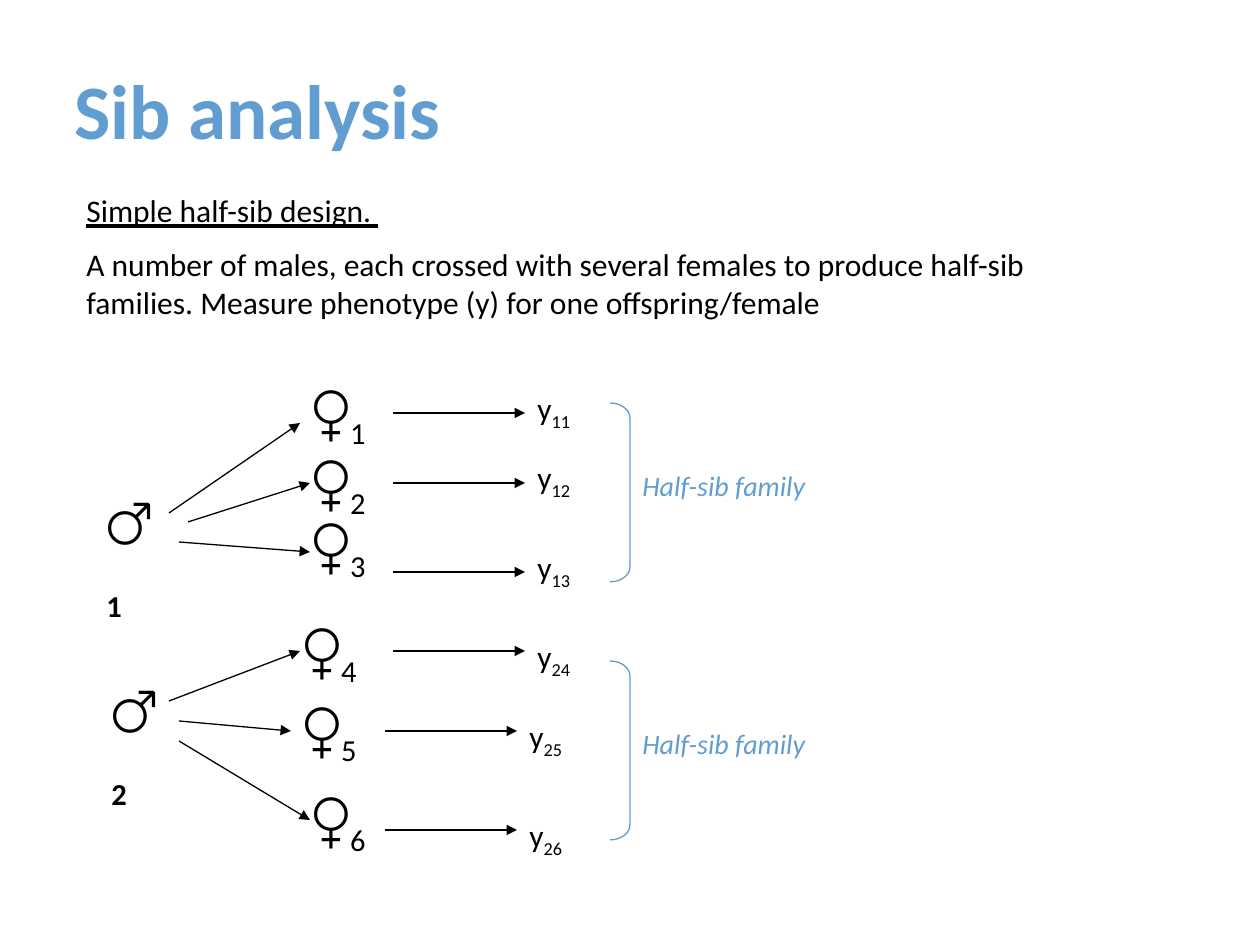
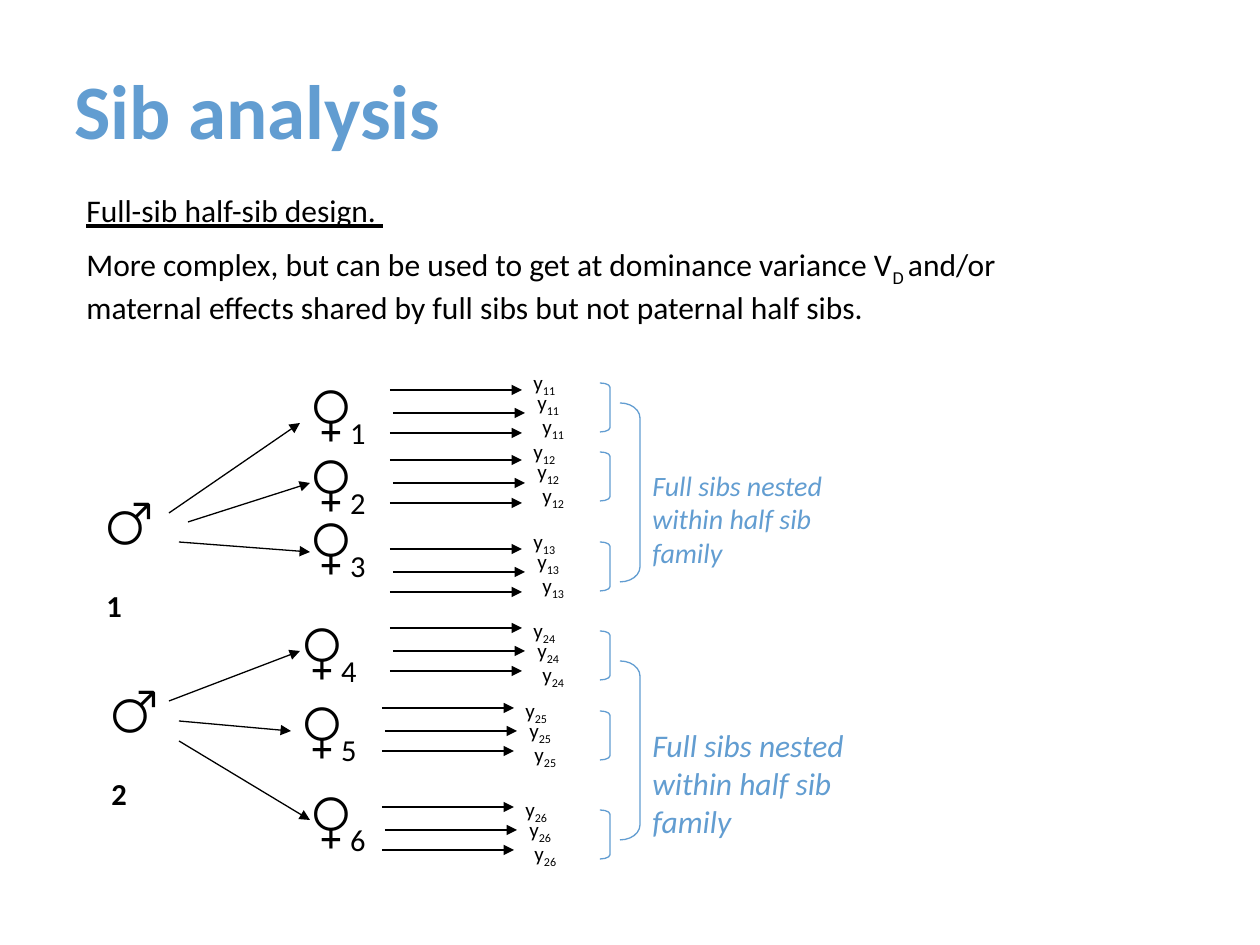
from lxml.etree import SubElement
from pptx import Presentation
from pptx.dml.color import RGBColor
from pptx.enum.shapes import MSO_CONNECTOR, MSO_SHAPE
from pptx.enum.text import MSO_ANCHOR
from pptx.oxml.ns import qn
from pptx.util import Emu, Pt

BLUE = RGBColor(0x62, 0x9D, 0xD1)
BLACK = RGBColor(0, 0, 0)
SCALE = 914400 / 126

TITLE = "Sib analysis"
TITLE_STYLE = {"size": Pt(44), "bold": True, "color": BLUE}
BODY_STYLE = {"size": Pt(18)}
SYMBOL_STYLE = {"size": Pt(30)}
HEADING = {"underline": True}
SUBSCRIPT = {"baseline": "-25000"}

SIRES = [("1", 94, 483), ("2", 99, 671)]
DAMS = [
    ("1", 300, 373), ("2", 300, 443), ("3", 300, 506),
    ("4", 291, 611), ("5", 291, 690), ("6", 300, 780),
]
CROSSES = [
    (169, 513, 300, 423), (188, 522, 310, 483), (179, 542, 310, 552),
    (169, 701, 300, 651), (179, 721, 291, 731), (179, 741, 310, 820),
]
OFFSPRING = [
    ("11", 0, 413, 383), ("12", 0, 483, 452), ("13", 0, 572, 542),
    ("24", 0, 651, 631), ("25", -8, 731, 711), ("26", -8, 830, 810),
]
FAMILY_TOPS = [403, 661]

DESIGNS = [
    {
        "body": [
            [("Simple half-sib design. ", HEADING)],
            [("A number of males, each crossed with several females to produce "
              "half-sib families. Measure phenotype (y) for one offspring/female", {})],
        ],
        "body_width": 1002,
        "sibs": [((0, 0), (0, 0))],
        "label_size": 18,
        "family_left": 610,
        "family": "Half-sib family",
        "family_sizes": [16, 16],
        "full_sib_brackets": False,
    },
    {
        "body": [
            [("Full-sib half-sib design. ", HEADING)],
            [("More complex, but can be used to get at dominance variance V", {}),
             ("D ", SUBSCRIPT),
             ("and/or maternal effects shared by full sibs but not paternal half sibs.", {})],
        ],
        "body_width": 1022,
        "sibs": [((-3, -23), (-4, -20)), ((0, 0), (0, 0)), ((-3, 20), (5, 24))],
        "label_size": 12,
        "family_left": 620,
        "family": "Full sibs nested within half sib family",
        "family_sizes": [16, 18],
        "full_sib_brackets": True,
    },
]


def px(*values):
    return [Emu(round(value * SCALE)) for value in values]


def add_text(page, area, paragraphs, style, anchor=MSO_ANCHOR.TOP, line_spacing=None):
    box = page.shapes.add_textbox(*px(*area))
    frame = box.text_frame
    frame.word_wrap = True
    frame.vertical_anchor = anchor
    for index, spans in enumerate(paragraphs):
        para = frame.paragraphs[0] if index == 0 else frame.add_paragraph()
        para.line_spacing = line_spacing
        if index:
            para.space_before = Pt(9)
        for text, extra in spans:
            span = para.add_run()
            span.text = text
            values = {"name": "Calibri", "color": BLACK, **style, **extra}
            span.font.color.rgb = values.pop("color")
            baseline = values.pop("baseline", None)
            for name, value in values.items():
                setattr(span.font, name, value)
            if baseline:
                span._r.get_or_add_rPr().set("baseline", baseline)


def add_indexed(page, area, symbol, number, style):
    add_text(page, area, [[(symbol, {}), (number, SUBSCRIPT)]], style)


def add_arrow(page, *ends):
    arrow = page.shapes.add_connector(MSO_CONNECTOR.STRAIGHT, *px(*ends))
    arrow.line.color.rgb = BLACK
    arrow.line.width = Pt(0.75)
    SubElement(arrow.line._get_or_add_ln(), qn("a:tailEnd"), type="triangle")
    SubElement(arrow._element.spPr, qn("a:effectLst"))


def add_bracket(page, area, curve):
    bracket = page.shapes.add_shape(MSO_SHAPE.RIGHT_BRACKET, *px(*area))
    bracket.adjustments[0] = curve
    bracket.shadow.inherit = False
    bracket.fill.background()
    bracket.line.color.rgb = BLUE
    bracket.line.width = Pt(0.75)


def add_parents(page):
    for number, left, top in SIRES:
        add_indexed(page, (left, top, 80, 76), "♂", number, {**SYMBOL_STYLE, "bold": True})
    for number, left, top in DAMS:
        add_indexed(page, (left, top, 93, 76), "♀", number, SYMBOL_STYLE)
    for cross in CROSSES:
        add_arrow(page, *cross)


def add_offspring(page, design):
    label_style = {"size": Pt(design["label_size"])}
    label_height = 14 + 2 * design["label_size"]
    for number, shift, arrow_y, label_top in OFFSPRING:
        for (arrow_dx, arrow_dy), (label_dx, label_dy) in design["sibs"]:
            start, y = 393 + shift + arrow_dx, arrow_y + arrow_dy
            add_arrow(page, start, y, start + 132, y)
            area = (525 + shift + label_dx, label_top + label_dy, 75, label_height)
            add_indexed(page, area, "y", number, label_style)
        if design["full_sib_brackets"]:
            add_bracket(page, (600, label_top, 10, 49), 0.42)


def add_families(page, design):
    left = design["family_left"]
    for top, size in zip(FAMILY_TOPS, design["family_sizes"]):
        add_bracket(page, (left, top, 20, 179), 0.75)
        style = {"size": Pt(size), "italic": True, "color": BLUE}
        add_text(page, (left + 20, top + 59, 258, 120), [[(design["family"], {})]], style)


def main():
    deck = Presentation()
    deck.slide_width, deck.slide_height = px(1260, 945)
    for design in DESIGNS:
        page = deck.slides.add_slide(deck.slide_layouts[6])
        add_text(page, (62, 45, 1134, 139), [[(TITLE, {})]], TITLE_STYLE,
                 MSO_ANCHOR.MIDDLE, 0.9)
        add_text(page, (74, 185, design["body_width"], 145), design["body"], BODY_STYLE)
        add_parents(page)
        add_offspring(page, design)
        add_families(page, design)
    deck.save("out.pptx")


if __name__ == "__main__":
    main()
